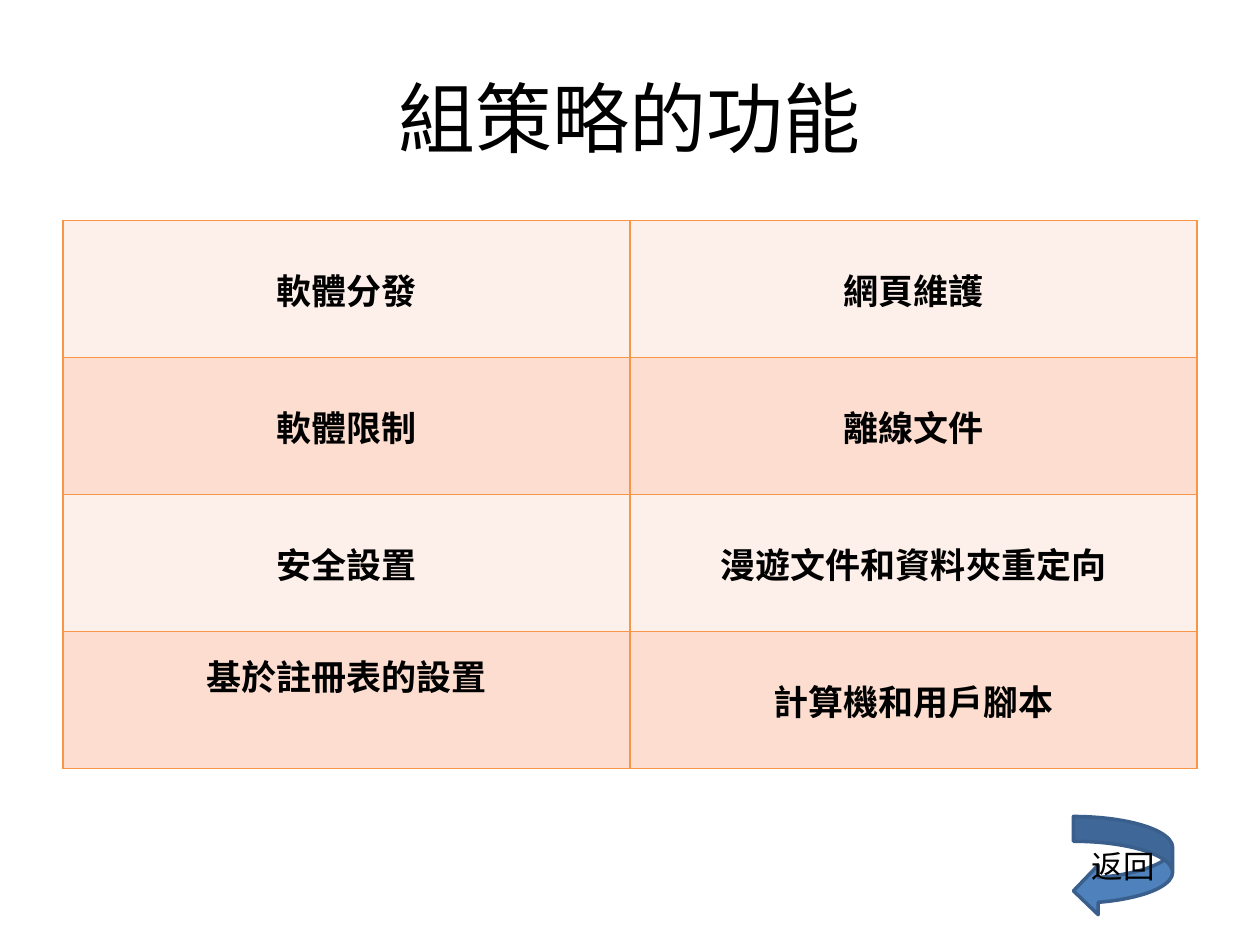
from lxml import etree
from pptx import Presentation
from pptx.dml.color import RGBColor
from pptx.enum import shapes, text
from pptx.oxml import ns
from pptx.util import Cm, Pt

TITLE = "組策略的功能"
FEATURES = [
    ("軟體分發", "網頁維護"),
    ("軟體限制", "離線文件"),
    ("安全設置", "漫遊文件和資料夾重定向"),
    ("基於註冊表的設置", "計算機和用戶腳本"),
]
BACK = "返回"

COLORS = {
    "text": "000000",
    "border": "F79646",
    "light_row": "FDEFE9",
    "dark_row": "FCDDCF",
    "arrow": "4F81BD",
    "arrow_line": "3A5F8C",
}
LEFT, WIDTH = 1.27, 22.86
ROW_HEIGHT = 2.76


def rgb(name):
    """Return the named colour."""
    return RGBColor.from_string(COLORS[name])


def write(tf, content, size, font="Calibri", bold=False):
    """Write one centred line into a text frame."""
    p = tf.paragraphs[0]
    p.alignment = text.PP_ALIGN.CENTER
    r = p.add_run()
    r.text = content
    r.font.name, r.font.size, r.font.bold = font, Pt(size), bold
    r.font.color.rgb = rgb("text")
    ea = etree.SubElement(r.font._element, ns.qn("a:ea"))
    ea.set("typeface", "Noto Sans CJK SC")


def add_borders(cell, color, width):
    """Draw a solid line on the four sides of a cell."""
    tc_pr = cell._tc.get_or_add_tcPr()
    for side in ("lnL", "lnR", "lnT", "lnB"):
        ln = etree.SubElement(tc_pr, ns.qn(f"a:{side}"), w=str(Pt(width)))
        fill = etree.SubElement(ln, ns.qn("a:solidFill"))
        etree.SubElement(fill, ns.qn("a:srgbClr"), val=COLORS[color])


def add_title(s):
    """Add the slide title."""
    sp = s.shapes.add_textbox(Cm(LEFT), Cm(0.76), Cm(WIDTH), Cm(3.18))
    tf = sp.text_frame
    tf.word_wrap = True
    tf.vertical_anchor = text.MSO_ANCHOR.MIDDLE
    write(tf, TITLE, 44)


def add_features(s):
    """Add the banded table of features."""
    rows, cols = len(FEATURES), len(FEATURES[0])
    table = s.shapes.add_table(rows, cols, Cm(LEFT), Cm(4.45), Cm(WIDTH),
                               Cm(ROW_HEIGHT * rows)).table
    table.first_row = False
    for i, row in enumerate(FEATURES):
        for j, content in enumerate(row):
            cell = table.cell(i, j)
            add_borders(cell, "border", 1)
            cell.fill.solid()
            cell.fill.fore_color.rgb = rgb("dark_row" if i % 2 else "light_row")
            cell.vertical_anchor = text.MSO_ANCHOR.MIDDLE
            write(cell.text_frame, content, 20, "Noto Sans CJK SC", True)
    table.cell(rows - 1, 0).margin_bottom = Cm(1.13)


def add_back_arrow(s):
    """Add the return arrow with its label."""
    sp = s.shapes.add_shape(shapes.MSO_SHAPE.CURVED_LEFT_ARROW,
                            Cm(21.64), Cm(16.46), Cm(2), Cm(2))
    sp.shadow.inherit = False
    sp.fill.solid()
    sp.fill.fore_color.rgb = rgb("arrow")
    sp.line.color.rgb = rgb("arrow_line")
    sp.line.width = Pt(2)
    tf = sp.text_frame
    tf.word_wrap = False
    tf.vertical_anchor = text.MSO_ANCHOR.MIDDLE
    write(tf, BACK, 18)


prs = Presentation()
prs.slide_width, prs.slide_height = Cm(25.4), Cm(19.05)
s = prs.slides.add_slide(prs.slide_layouts[6])
add_title(s)
add_features(s)
add_back_arrow(s)
prs.save("out.pptx")
